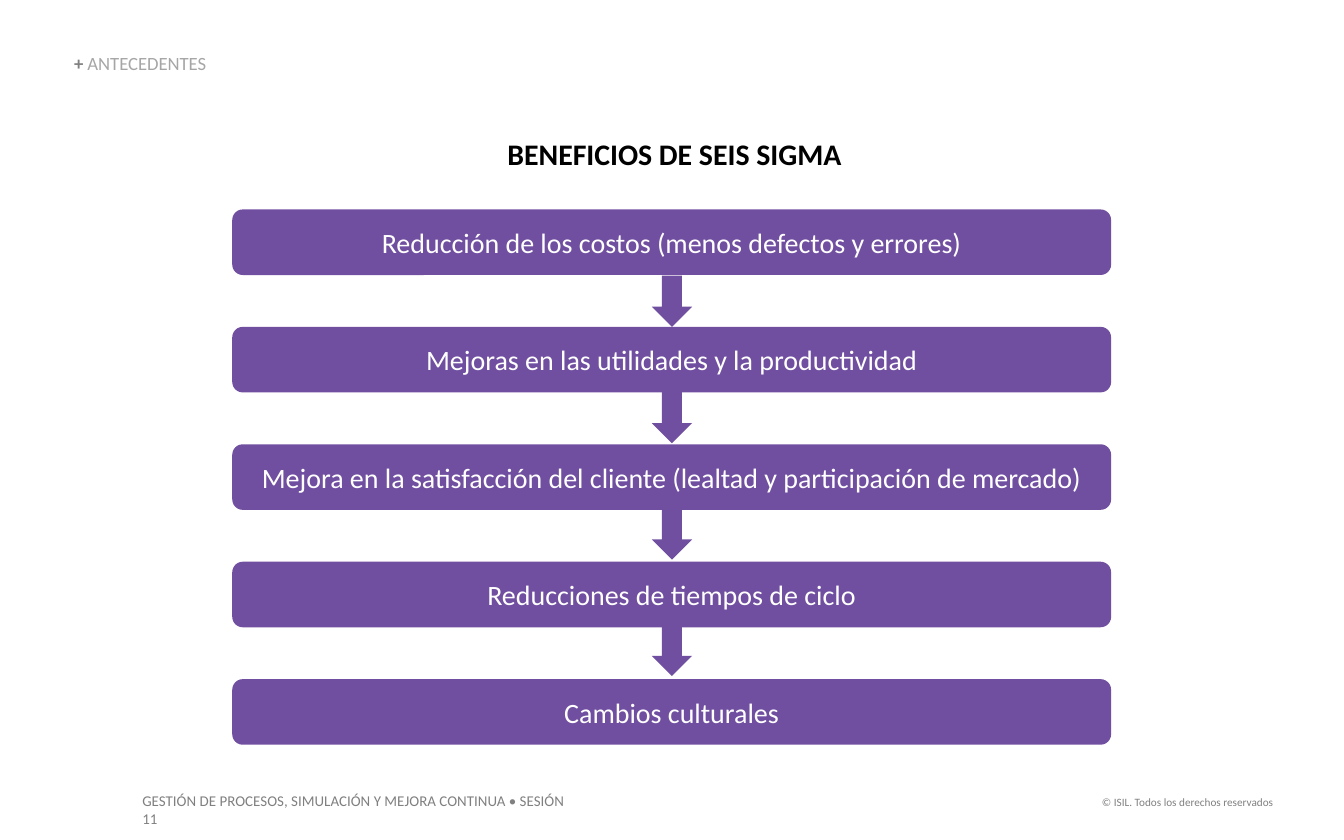
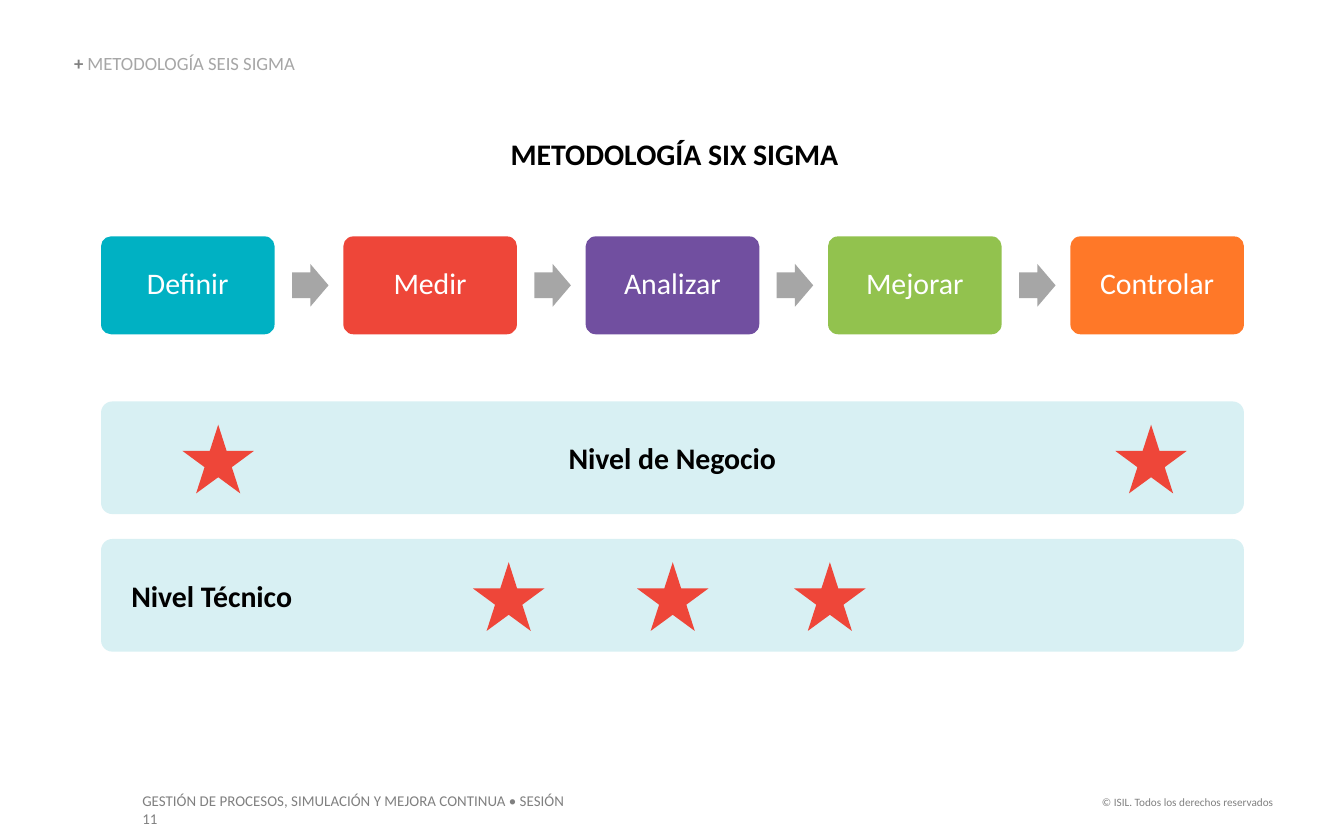
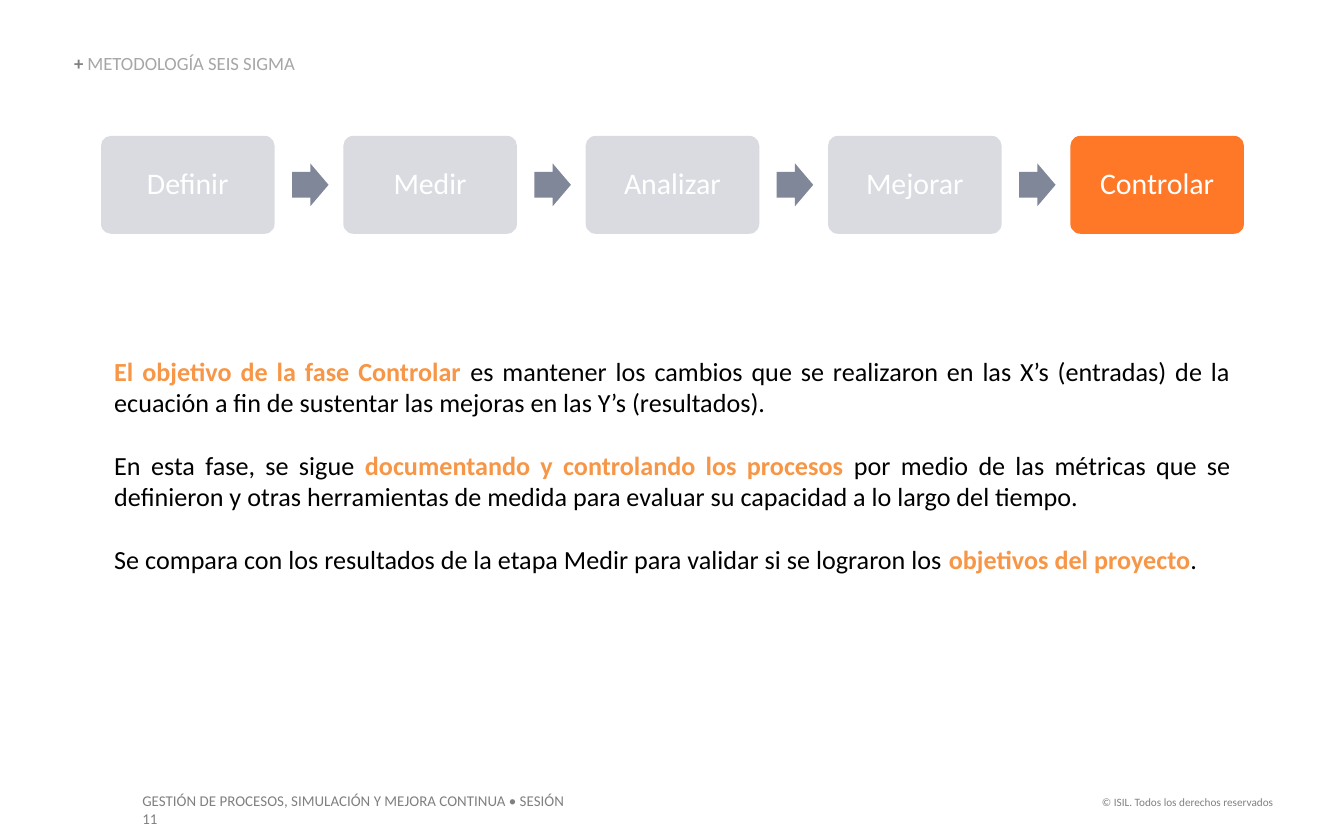
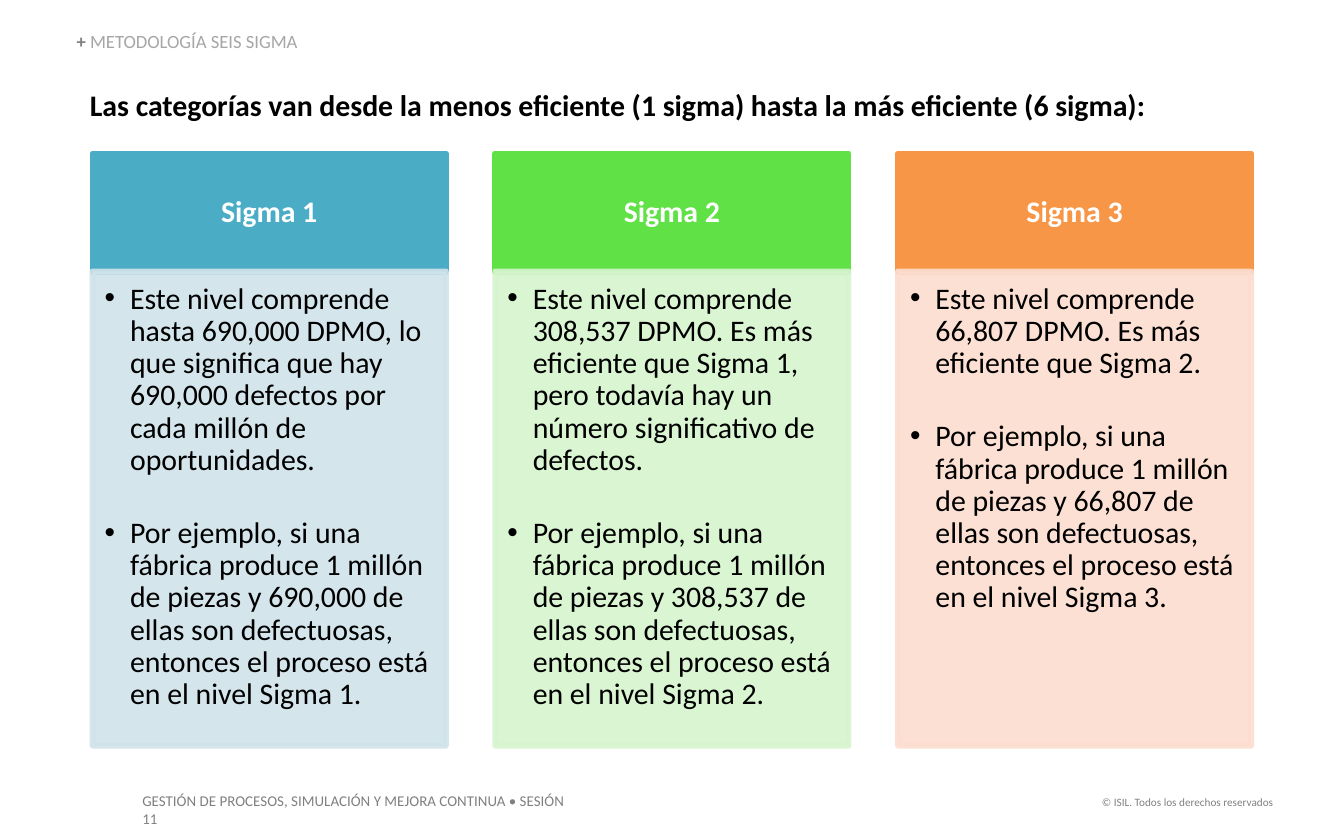
from pptx import Presentation
from pptx.dml.color import RGBColor
from pptx.enum.shapes import MSO_SHAPE as Preset
from pptx.enum.text import MSO_ANCHOR as Anchor, PP_ALIGN as Align
from pptx.oxml.ns import qn
from pptx.util import Cm, Pt
from lxml.etree import SubElement

FONT = "Calibri"
BLACK = RGBColor(0x00, 0x00, 0x00)
WHITE = RGBColor(0xFF, 0xFF, 0xFF)
GRAY = RGBColor(0x80, 0x80, 0x80)
LIGHT_GRAY = RGBColor(0xA6, 0xA6, 0xA6)
PALE_GRAY = RGBColor(0xD9, 0xDB, 0xE1)
SLATE = RGBColor(0x80, 0x87, 0x99)
PURPLE = RGBColor(0x71, 0x4F, 0xA0)
TURQUOISE = RGBColor(0x00, 0xB1, 0xC3)
RED = RGBColor(0xEE, 0x46, 0x39)
GREEN = RGBColor(0x92, 0xC2, 0x4E)
ORANGE = RGBColor(0xFF, 0x78, 0x28)
PALE_TURQUOISE = RGBColor(0xD8, 0xF0, 0xF3)
SOFT_ORANGE = RGBColor(0xF7, 0x96, 0x46)
BLUE = RGBColor(0x4B, 0xAC, 0xC6)
PALE_BLUE = RGBColor(0xD0, 0xE3, 0xEA)
BRIGHT_GREEN = RGBColor(0x60, 0xE1, 0x46)
PALE_GREEN = RGBColor(0xD6, 0xF4, 0xCE)
PALE_ORANGE = RGBColor(0xFC, 0xDD, 0xCF)

# Content
COURSE = "GESTIÓN DE PROCESOS, SIMULACIÓN Y MEJORA CONTINUA • SESIÓN 11"
COPYRIGHT = "© ISIL. Todos los derechos reservados"
METHODOLOGY = "METODOLOGÍA SEIS SIGMA"

BENEFITS = [
    "Reducción de los costos (menos defectos y errores)",
    "Mejoras en las utilidades y la productividad",
    "Mejora en la satisfacción del cliente (lealtad y participación de mercado)",
    "Reducciones de tiempos de ciclo",
    "Cambios culturales",
]
PHASES = [
    ("Definir", TURQUOISE),
    ("Medir", RED),
    ("Analizar", PURPLE),
    ("Mejorar", GREEN),
    ("Controlar", ORANGE),
]
# Level name, alignment, left margin, left edges of its stars (cm)
LEVELS = [
    ("Nivel de Negocio", Align.CENTER, 0.25, [3.45, 21.08]),
    ("Nivel Técnico", Align.LEFT, 0.51, [8.94, 12.04, 15.01]),
]
# Runs of each paragraph: text, highlighted
CONTROL_GOAL = [
    [("El objetivo de la fase Controlar ", True),
     ("es mantener los cambios que se realizaron en las X’s (entradas) de la "
      "ecuación a fin de sustentar las mejoras en las Y’s (resultados).", False)],
    [("En esta fase, se sigue ", False),
     ("documentando y controlando los procesos ", True),
     ("por medio de las métricas que se definieron y otras herramientas de "
      "medida para evaluar su capacidad a lo largo del tiempo.", False)],
    [("Se compara con los resultados de la etapa Medir para validar si se "
      "lograron los ", False),
     ("objetivos del proyecto", True),
     (".", False)],
]
CATEGORY_TITLE = ("Las categorías van desde la menos eficiente (1 sigma) "
                  "hasta la más eficiente (6 sigma):")
EXAMPLE = ("Por ejemplo, si una fábrica produce 1 millón de piezas y {} de ellas "
           "son defectuosas, entonces el proceso está en el nivel {}.")
CATEGORIES = [
    ("Sigma 1", "690,000", BLUE, PALE_BLUE,
     "Este nivel comprende hasta 690,000 DPMO, lo que significa que hay "
     "690,000 defectos por cada millón de oportunidades."),
    ("Sigma 2", "308,537", BRIGHT_GREEN, PALE_GREEN,
     "Este nivel comprende 308,537 DPMO. Es más eficiente que Sigma 1, pero "
     "todavía hay un número significativo de defectos."),
    ("Sigma 3", "66,807", SOFT_ORANGE, PALE_ORANGE,
     "Este nivel comprende 66,807 DPMO. Es más eficiente que Sigma 2."),
]


def add_bullet(paragraph):
    properties = paragraph._p.get_or_add_pPr()
    properties.set("marL", str(Cm(0.48)))
    properties.set("indent", str(-Cm(0.48)))
    SubElement(properties, qn("a:buFont")).set("typeface", "Arial")
    SubElement(properties, qn("a:buChar")).set("char", "•")


def write(shape, paragraphs, size, color=BLACK, bold=False, align=Align.LEFT,
          anchor=Anchor.TOP, margins=(0.25, 0.13, 0.25, 0.13), spacing=None,
          gap=0, bullets=False):
    """Fill a shape with paragraphs: strings, or lists of (text, color, bold) runs."""
    frame = shape.text_frame
    frame.word_wrap = True
    frame.vertical_anchor = anchor
    (frame.margin_left, frame.margin_top,
     frame.margin_right, frame.margin_bottom) = map(Cm, margins)
    for index, content in enumerate(paragraphs):
        paragraph = frame.add_paragraph() if index else frame.paragraphs[0]
        if bullets:
            add_bullet(paragraph)
        paragraph.alignment = align
        if spacing:
            paragraph.line_spacing = spacing
        if index and gap:
            paragraph.space_before = Pt(gap)
        paragraph.font.name = FONT
        paragraph.font.size = Pt(size)
        if isinstance(content, str):
            paragraph.font.bold = bold
            paragraph.font.color.rgb = color
            paragraph.add_run().text = content
            continue
        for text, run_color, run_bold in content:
            run = paragraph.add_run()
            run.text = text
            run.font.bold = run_bold
            run.font.color.rgb = run_color


def add_text(slide, box, paragraphs, size, **style):
    write(slide.shapes.add_textbox(*map(Cm, box)), paragraphs, size, **style)


def add_block(slide, preset, box, fill, adjustments=()):
    shape = slide.shapes.add_shape(preset, *map(Cm, box))
    shape.shadow.inherit = False
    shape.fill.solid()
    shape.fill.fore_color.rgb = fill
    shape.line.fill.background()
    for index, value in enumerate(adjustments):
        shape.adjustments[index] = value
    return shape


def outline(shape, color):
    shape.line.color.rgb = color
    shape.line.width = Pt(3)


def set_opacity(shape, percent):
    for color in shape._element.spPr.iter(qn("a:srgbClr")):
        SubElement(color, qn("a:alpha")).set("val", str(percent * 1000))


def start_slide(presentation, section, left=1.4, top=1.04):
    """Add a blank slide with the footers and the section label."""
    slide = presentation.slides.add_slide(presentation.slide_layouts[6])
    add_text(slide, (20.5, 14.91, 3.81, 0.51), [COPYRIGHT], 6, color=GRAY,
             align=Align.RIGHT)
    add_text(slide, (2.44, 14.83, 8.97, 0.61), [COURSE], 8, color=GRAY,
             margins=(0.25, 0.13, 0.5, 0.13))
    add_text(slide, (left, top, 6.76, 0.38),
             [[("+ ", GRAY, True), (section, LIGHT_GRAY, False)]], 10,
             anchor=Anchor.BOTTOM, margins=(0, 0, 0, 0), spacing=0.9)
    return slide


def add_title(slide, title):
    add_text(slide, (1.4, 2.57, 22.7, 0.69), [title], 16, bold=True,
             align=Align.CENTER, margins=(0, 0, 0, 0))


def add_phases(slide, top, arrow_color, active=None):
    """Draw the phase chain; with an active phase, the others are dimmed."""
    for index, (name, color) in enumerate(PHASES):
        left = 1.91 + 4.58 * index
        fill = color if active in (None, name) else PALE_GRAY
        block = add_block(slide, Preset.ROUNDED_RECTANGLE,
                          (left, top, 3.28, 1.85), fill, [0.1])
        write(block, [name], 16, color=WHITE, align=Align.CENTER,
              anchor=Anchor.MIDDLE, margins=(0.18,) * 4, spacing=0.9)
        if index < len(PHASES) - 1:
            add_block(slide, Preset.RIGHT_ARROW,
                      (left + 3.61, top + 0.52, 0.69, 0.81), arrow_color,
                      [0.6, 0.5])


def build_benefits(presentation):
    slide = start_slide(presentation, "ANTECEDENTES")
    add_title(slide, "BENEFICIOS DE SEIS SIGMA")
    for index, benefit in enumerate(BENEFITS):
        block = add_block(slide, Preset.ROUNDED_RECTANGLE,
                          (4.39, 3.96 + 2.22 * index, 16.61, 1.24), PURPLE, [0.16])
        write(block, [benefit], 15, color=WHITE, align=Align.CENTER,
              anchor=Anchor.MIDDLE)
    for index in range(len(BENEFITS) - 1):
        add_block(slide, Preset.DOWN_ARROW,
                  (12.32, 5.21 + 2.2 * index, 0.76, 0.97), PURPLE)


def build_methodology(presentation):
    slide = start_slide(presentation, METHODOLOGY)
    add_title(slide, "METODOLOGÍA SIX SIGMA")
    add_phases(slide, 4.47, LIGHT_GRAY)
    for index, (name, align, margin, stars) in enumerate(LEVELS):
        top = 7.59 + 2.6 * index
        band = add_block(slide, Preset.ROUNDED_RECTANGLE,
                         (1.91, top, 21.6, 2.13), PALE_TURQUOISE, [0.1])
        write(band, [name], 16, bold=True, align=align, anchor=Anchor.MIDDLE,
              margins=(margin, 0.13, 0.25, 0.13))
        for left in stars:
            add_block(slide, Preset.STAR_5_POINT,
                      (left, top + 0.44, 1.35, 1.3), RED)


def build_control(presentation):
    slide = start_slide(presentation, METHODOLOGY)
    add_phases(slide, 2.57, SLATE, active="Controlar")
    paragraphs = [[(text, SOFT_ORANGE if marked else BLACK, marked)
                   for text, marked in runs] for runs in CONTROL_GOAL]
    add_text(slide, (1.91, 6.58, 21.6, 4.45), paragraphs, 14,
             align=Align.JUSTIFY, gap=17)


def build_categories(presentation):
    slide = start_slide(presentation, METHODOLOGY, left=1.45, top=0.61)
    add_text(slide, (1.45, 1.5, 23.06, 0.94), [CATEGORY_TITLE], 16, bold=True,
             align=Align.JUSTIFY)
    for index, (name, defects, color, pale, summary) in enumerate(CATEGORIES):
        left = 1.75 + 7.61 * index
        header = add_block(slide, Preset.RECTANGLE, (left, 2.9, 6.68, 2.24), color)
        outline(header, color)
        write(header, [name], 16, color=WHITE, bold=True, align=Align.CENTER,
              anchor=Anchor.MIDDLE, margins=(0.3, 0.18, 0.3, 0.18), spacing=0.9)
        body = add_block(slide, Preset.RECTANGLE, (left, 5.13, 6.68, 8.97), pale)
        outline(body, pale)
        set_opacity(body, 90)
        write(body, [summary, EXAMPLE.format(defects, name)], 16,
              margins=(0.23, 0.23, 0.3, 0.36), spacing=0.9, gap=22, bullets=True)


def main():
    presentation = Presentation()
    presentation.slide_width = Cm(25.4)
    presentation.slide_height = Cm(15.88)
    build_benefits(presentation)
    build_methodology(presentation)
    build_control(presentation)
    build_categories(presentation)
    presentation.save("out.pptx")


if __name__ == "__main__":
    main()
